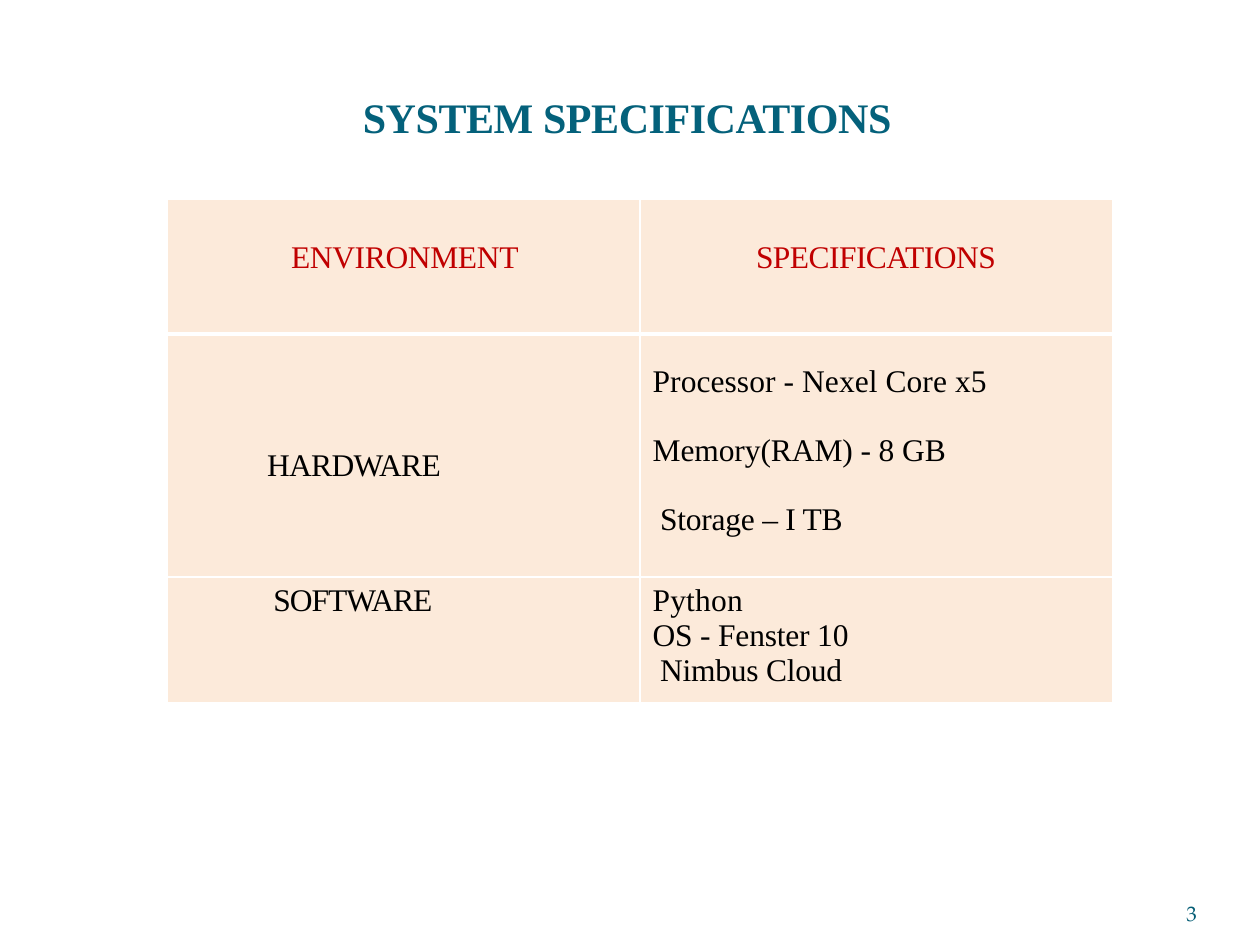
from lxml import etree
from pptx import Presentation
from pptx.dml.color import RGBColor
from pptx.enum.text import MSO_ANCHOR, PP_ALIGN
from pptx.oxml.ns import qn
from pptx.util import Inches, Pt

BOTTOM = MSO_ANCHOR.BOTTOM
LEFT, RIGHT = PP_ALIGN.LEFT, PP_ALIGN.RIGHT
TEAL = RGBColor(0x04, 0x61, 0x7B)
NUMBER_TEAL = RGBColor(0x04, 0x5D, 0x75)
RED = RGBColor(0xC0, 0x00, 0x00)
BLACK = RGBColor(0x00, 0x00, 0x00)
PEACH = RGBColor(0xFC, 0xEA, 0xDA)
SERIF = "Times New Roman"
PAGE_FONT = "TeX Gyre Pagella"

ROW_HEIGHTS = (1.07, 1.93, 1)
HEADER_RULE, THIN_RULE = 3, 1
# Each cell: top margin, then lines of (text, indent, tracking, line spacing).
CELLS = (
    (
        (0.33, [("ENVIRONMENT", 0.98, -0.2, 1)]),
        (0.33, [("SPECIFICATIONS", 0.92, -0.3, 1)]),
    ),
    (
        (0.91, [("HARDWARE", 0.79, -0.4, 1)]),
        (0.24, [
            ("Processor - Nexel Core x5", 0.1, 0.05, 1),
            ("Memory(RAM) - 8 GB", 0.1, -0.05, 1.98),
            ("Storage – I TB", 0.16, -0.15, 1.98),
        ]),
    ),
    (
        (0.05, [("SOFTWARE", 0.84, -0.6, 1)]),
        (0.05, [
            ("Python", 0.1, 0.1, 1),
            ("OS - Fenster 10", 0.1, -0.1, 1.01),
            ("Nimbus Cloud", 0.16, -0.15, 1.01),
        ]),
    ),
)


def format_run(r, size, color, font=SERIF, bold=False, tracking=0):
    r.font.size = Pt(size)
    r.font.name = font
    r.font.bold = bold
    r.font.color.rgb = color
    r._r.get_or_add_rPr().set("spc", str(round(tracking * 100)))


def set_margins(holder, left=0, top=0):
    holder.margin_left = Inches(left)
    holder.margin_top = Inches(top)
    holder.margin_right = holder.margin_bottom = 0


def add_title(s):
    sp = s.shapes.title
    sp.left, sp.top = Inches(2.87), Inches(0.7)
    sp.width, sp.height = Inches(4.25), Inches(0.43)
    tf = sp.text_frame
    tf.text = "SYSTEM SPECIFICATIONS"
    tf.vertical_anchor = BOTTOM
    set_margins(tf, 0.01, 0.01)
    p = tf.paragraphs[0]
    p.alignment = LEFT
    format_run(p.runs[0], 24, TEAL, bold=True, tracking=-0.25)


def add_page_number(s):
    sp = s.shapes.add_textbox(Inches(8.67), Inches(6.95), Inches(0.83), Inches(0.4))
    tf = sp.text_frame
    tf.word_wrap = True
    tf.text = "3"
    tf.vertical_anchor = BOTTOM
    set_margins(tf)
    p = tf.paragraphs[0]
    p.alignment = RIGHT
    p.line_spacing = Pt(12.4)
    format_run(p.runs[0], 12, NUMBER_TEAL, PAGE_FONT)


def set_borders(cell, top, bottom):
    tcPr = cell._tc.get_or_add_tcPr()
    widths = (("L", THIN_RULE), ("R", THIN_RULE), ("T", top), ("B", bottom))
    for side, width in widths:
        ln = etree.SubElement(tcPr, qn(f"a:ln{side}"), w=str(Pt(width)))
        fill = etree.SubElement(ln, qn("a:solidFill"))
        etree.SubElement(fill, qn("a:srgbClr"), val="FFFFFF")


def fill_cell(cell, top, lines, color):
    set_margins(cell, 0, top)
    cell.fill.solid()
    cell.fill.fore_color.rgb = PEACH
    tf = cell.text_frame
    tf.text = "\n".join(line[0] for line in lines)
    for p, (_, indent, tracking, spacing) in zip(tf.paragraphs, lines):
        p.line_spacing = spacing
        pPr = p._p.get_or_add_pPr()
        pPr.set("marL", str(Inches(indent)))
        pPr.set("indent", "0")
        format_run(p.runs[0], 18, color, tracking=tracking)


def add_specifications(s):
    frame = s.shapes.add_table(3, 2, Inches(1.33), Inches(1.58), Inches(7.5), Inches(4))
    table = frame.table
    table.horz_banding = False
    for i, (height, cells) in enumerate(zip(ROW_HEIGHTS, CELLS)):
        table.rows[i].height = Inches(height)
        top = HEADER_RULE if i == 1 else THIN_RULE
        bottom = HEADER_RULE if i == 0 else THIN_RULE
        for j, (margin, lines) in enumerate(cells):
            cell = table.cell(i, j)
            set_borders(cell, top, bottom)
            fill_cell(cell, margin, lines, RED if i == 0 else BLACK)


def main():
    prs = Presentation()
    prs.slide_width, prs.slide_height = Inches(10), Inches(7.5)
    s = prs.slides.add_slide(prs.slide_layouts[5])
    add_title(s)
    add_page_number(s)
    add_specifications(s)
    prs.save("out.pptx")


if __name__ == "__main__":
    main()
